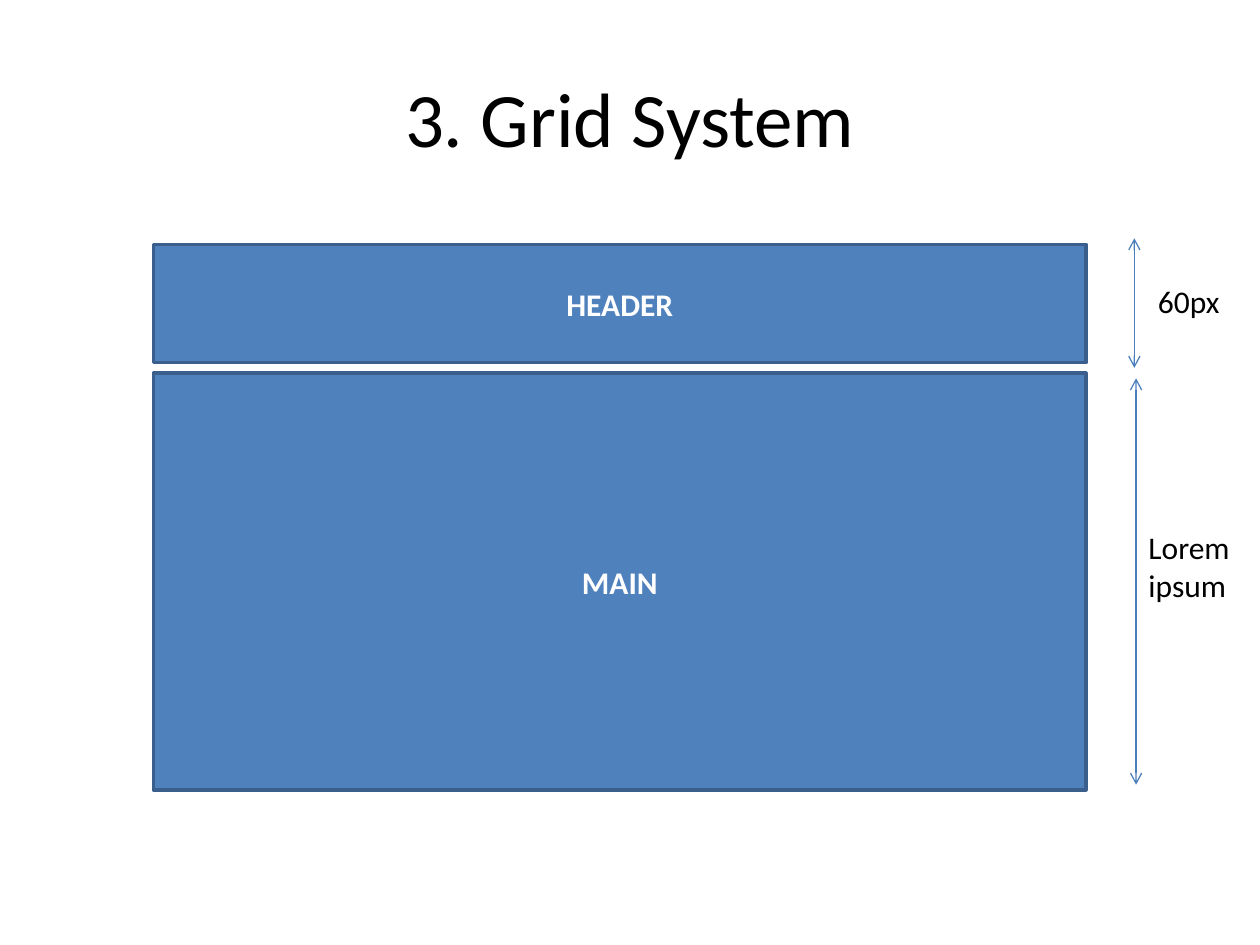
from collections import namedtuple
from dataclasses import dataclass

from lxml.etree import SubElement
from pptx import Presentation
from pptx.dml.color import RGBColor
from pptx.enum.shapes import MSO_CONNECTOR, MSO_SHAPE
from pptx.enum.text import MSO_ANCHOR, PP_ALIGN
from pptx.oxml.ns import qn
from pptx.util import Pt

Box = namedtuple("Box", "left top width height")


@dataclass(frozen=True)
class Theme:
    font: str = "Calibri"
    ink: RGBColor = RGBColor(0, 0, 0)
    paper: RGBColor = RGBColor(255, 255, 255)
    block: RGBColor = RGBColor(0x4F, 0x81, 0xBD)
    border: RGBColor = RGBColor(0x3A, 0x5F, 0x8C)
    arrow: RGBColor = RGBColor(0x4B, 0x7E, 0xBC)
    title_size: int = 44
    body_size: int = 18
    border_width: float = 2
    arrow_width: float = 0.75


THEME = Theme()


def write(frame, text, size=THEME.body_size, color=THEME.ink, bold=False,
          align=PP_ALIGN.LEFT, anchor=MSO_ANCHOR.TOP, wrap=True):
    frame.word_wrap = wrap
    frame.vertical_anchor = anchor
    frame.text = text
    for paragraph in frame.paragraphs:
        paragraph.alignment = align
        font = paragraph.font
        font.name, font.size, font.bold = THEME.font, Pt(size), bold
        font.color.rgb = color


def add_title(slide, box, text):
    title = slide.shapes.add_textbox(*map(Pt, box))
    write(title.text_frame, text, size=THEME.title_size,
          align=PP_ALIGN.CENTER, anchor=MSO_ANCHOR.MIDDLE)


def add_region(slide, box, name):
    region = slide.shapes.add_shape(MSO_SHAPE.RECTANGLE, *map(Pt, box))
    region.shadow.inherit = False
    region.fill.solid()
    region.fill.fore_color.rgb = THEME.block
    region.line.color.rgb = THEME.border
    region.line.width = Pt(THEME.border_width)
    write(region.text_frame, name, color=THEME.paper, bold=True,
          align=PP_ALIGN.CENTER, anchor=MSO_ANCHOR.MIDDLE)


def add_dimension(slide, box, label_box, label):
    x, top, bottom = Pt(box.left), Pt(box.top), Pt(box.top + box.height)
    arrow = slide.shapes.add_connector(MSO_CONNECTOR.STRAIGHT, x, top, x, bottom)
    arrow.line.color.rgb = THEME.arrow
    arrow.line.width = Pt(THEME.arrow_width)
    outline = arrow.line._get_or_add_ln()
    for end in ("a:headEnd", "a:tailEnd"):
        SubElement(outline, qn(end), type="arrow")
    SubElement(arrow._element.spPr, qn("a:effectLst"))
    height_label = slide.shapes.add_textbox(*map(Pt, label_box))
    write(height_label.text_frame, label, wrap=False)


def main():
    presentation = Presentation()
    presentation.slide_width, presentation.slide_height = Pt(720), Pt(540)
    slide = presentation.slides.add_slide(presentation.slide_layouts[6])

    add_title(slide, Box(36, 21.6, 648, 90), "3. Grid System")
    add_region(slide, Box(87.8, 139.6, 532.8, 67.7), "HEADER")
    add_region(slide, Box(87.8, 213.2, 532.8, 238.2), "MAIN")
    add_dimension(slide, Box(649.2, 216.2, 0, 232.2),
                  Box(649.2, 298.2, 61.2, 50.9), "Lorem\nipsum")
    add_dimension(slide, Box(648.2, 136.2, 0, 74),
                  Box(654.6, 157.6, 49.7, 29), "60px")

    presentation.save("out.pptx")


if __name__ == "__main__":
    main()
